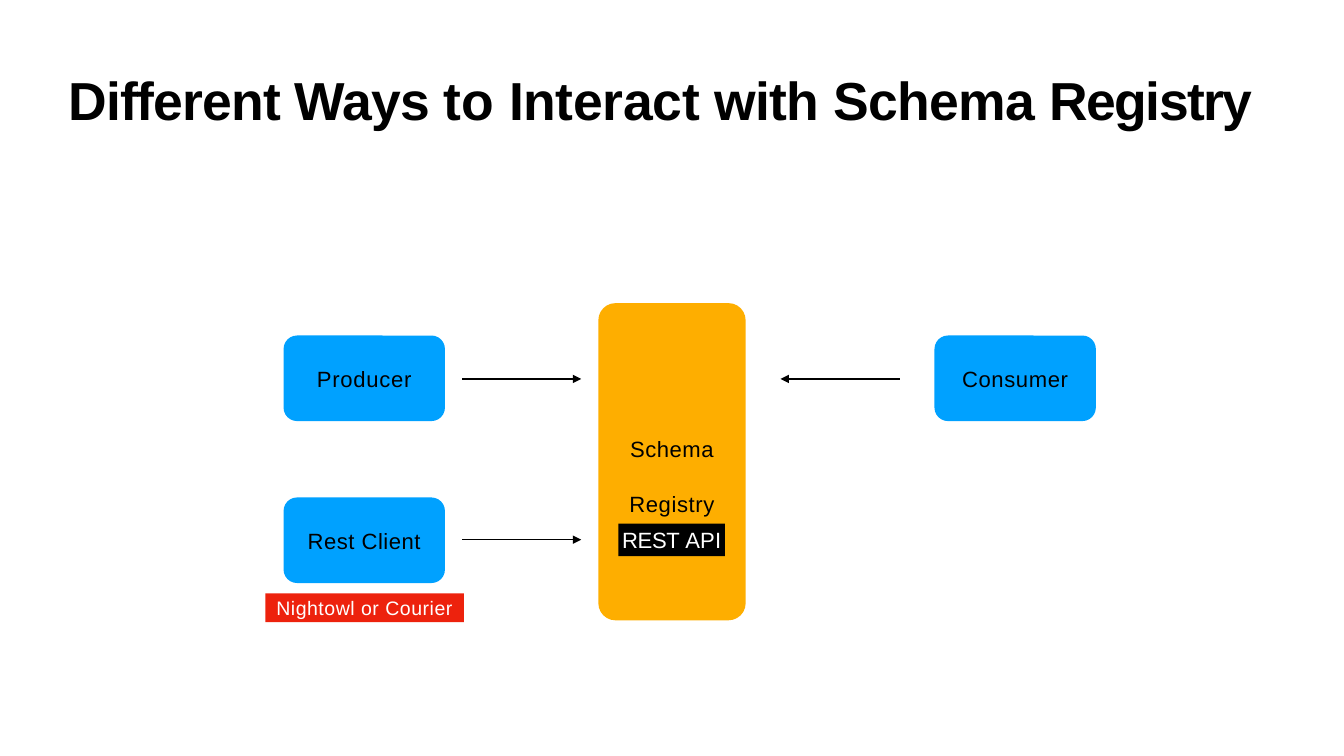
from lxml import etree
from pptx import Presentation
from pptx.dml.color import RGBColor
from pptx.enum.shapes import MSO_CONNECTOR, MSO_SHAPE
from pptx.enum.text import MSO_ANCHOR, MSO_AUTO_SIZE, PP_ALIGN
from pptx.oxml.ns import qn
from pptx.util import Inches, Pt

RECT, ROUNDED = MSO_SHAPE.RECTANGLE, MSO_SHAPE.ROUNDED_RECTANGLE
STRAIGHT = MSO_CONNECTOR.STRAIGHT
LEFT, CENTER = PP_ALIGN.LEFT, PP_ALIGN.CENTER
TOP, MIDDLE = MSO_ANCHOR.TOP, MSO_ANCHOR.MIDDLE
NO_FIT = MSO_AUTO_SIZE.NONE
COLORS = {"black": "000000", "white": "FFFFFF", "blue": "00A1FF",
          "orange": "FEAE00", "red": "ED220D"}


def write(shape, paragraphs, size=26, color="black", bold=False, align=CENTER,
          anchor=MIDDLE, inset_top=0, gap=0):
    """Each paragraph is a list of (text, letter spacing in points)."""
    frame = shape.text_frame
    frame.word_wrap = True
    frame.auto_size = NO_FIT
    frame.vertical_anchor = anchor
    frame.margin_left = frame.margin_right = frame.margin_bottom = 0
    frame.margin_top = Inches(inset_top)
    for index, runs in enumerate(paragraphs):
        paragraph = frame.add_paragraph() if index else frame.paragraphs[0]
        paragraph.alignment = align
        paragraph.space_before = Pt(gap if index else 0)
        for text, spacing in runs:
            run = paragraph.add_run()
            run.text = text
            run.font.name = "Arial"
            run.font.size = Pt(size)
            run.font.bold = bold
            run.font.color.rgb = RGBColor.from_string(COLORS[color])
            run.font._element.set("spc", str(round(spacing * 100)))


def add_box(kind, left, top, width, height, fill, radius=None):
    box = slide.shapes.add_shape(kind, Inches(left), Inches(top),
                                 Inches(width), Inches(height))
    box.shadow.inherit = False
    box.fill.solid()
    box.fill.fore_color.rgb = RGBColor.from_string(COLORS[fill])
    box.line.fill.background()
    if radius:
        box.adjustments[0] = radius / min(width, height)
    return box


deck = Presentation()
deck.slide_width, deck.slide_height = Inches(21.99), Inches(12.37)
slide = deck.slides.add_slide(deck.slide_layouts[5])

# Title
title = slide.shapes.title
title.left, title.top = Inches(1.12), Inches(0.99)
title.width, title.height = Inches(19.6), Inches(1.12)
write(title, [[("Different ", -1.1), ("Ways ", -1), ("to ", -0.1),
               ("Interact ", -0.4), ("with Schema ", -0.7), ("Registry", -1.9)]],
      size=63, bold=True, align=LEFT, anchor=TOP, inset_top=0.1)

# Schema registry
registry = add_box(ROUNDED, 9.79, 4.96, 2.41, 5.19, "orange", radius=0.28)
write(registry, [[("Schema", 0.6)], [("Registry", 0.7)]], inset_top=0.46, gap=33.5)

# Clients
for name, left, top, spacing in [("Producer", 4.64, 5.49, 0.85),
                                 ("Consumer", 15.29, 5.49, 0.7),
                                 ("Rest Client", 4.64, 8.14, 0.6)]:
    client = add_box(ROUNDED, left, top, 2.64, 1.4, "blue", radius=0.22)
    write(client, [[(name, spacing)]])

# Labels
rest_api = add_box(RECT, 10.12, 8.57, 1.74, 0.53, "black")
write(rest_api, [[("REST ", -0.4), ("API", 0.2)]], color="white")
client_tools = add_box(RECT, 4.34, 9.71, 3.25, 0.47, "red")
write(client_tools, [[("Nightowl or Courier", 0.6)]], size=23, color="white")

# Arrows towards the registry, free of the boxes at both ends
for start, end, y in [(7.56, 9.51, 6.2), (14.72, 12.77, 6.2), (7.56, 9.51, 8.83)]:
    arrow = slide.shapes.add_connector(STRAIGHT, Inches(start), Inches(y),
                                       Inches(end), Inches(y))
    arrow.line.color.rgb = RGBColor.from_string(COLORS["black"])
    arrow.line.width = Pt(1.73)
    etree.SubElement(arrow.line._get_or_add_ln(), qn("a:tailEnd"),
                     type="triangle", w="lg", len="lg")
    etree.SubElement(arrow._element.spPr, qn("a:effectLst"))

deck.save("out.pptx")
